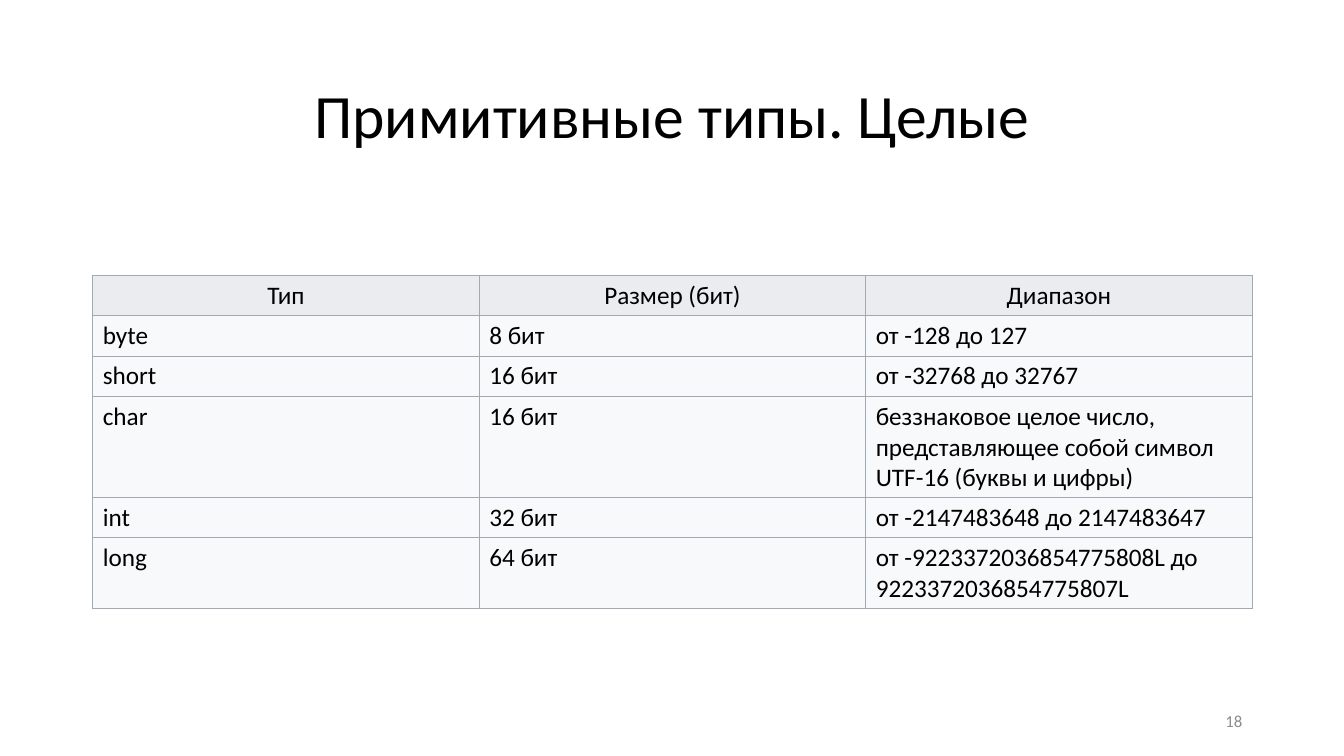
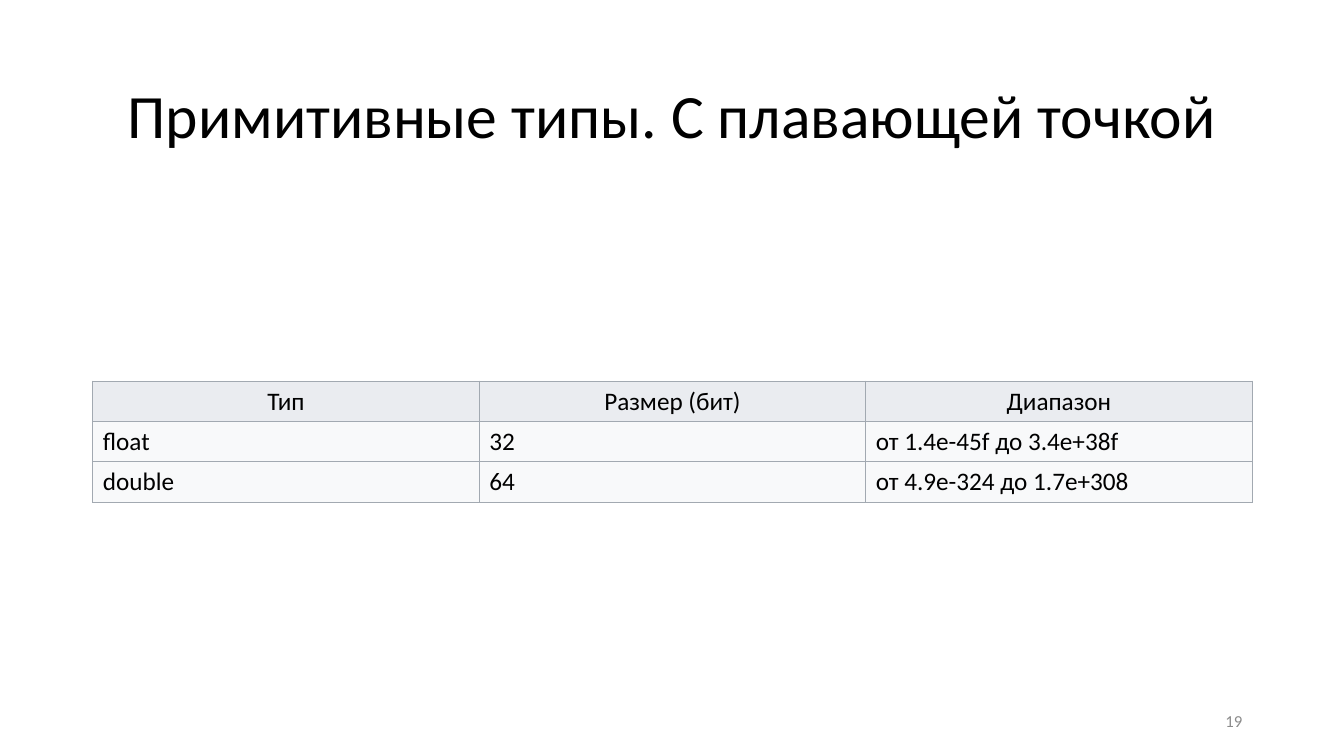
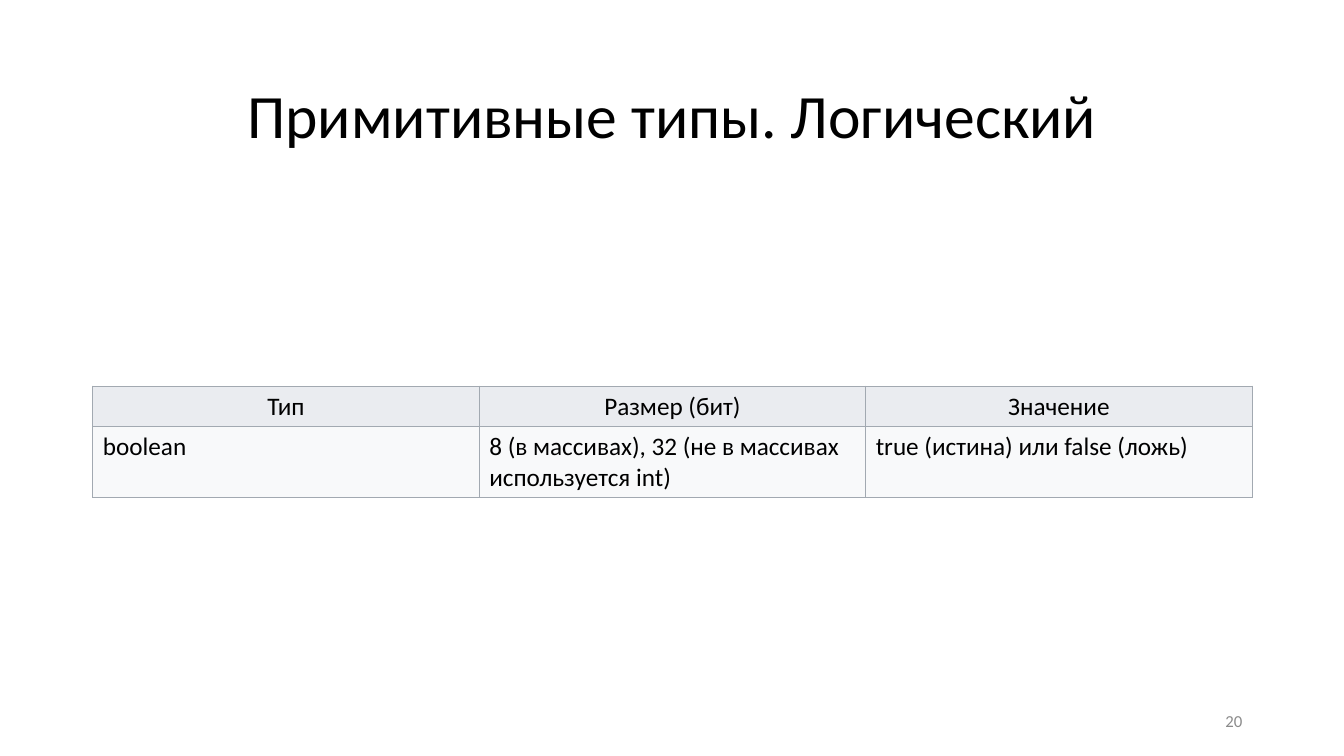
"""Build three slides on primitive types, each with a title, a table and a page number."""
from lxml import etree
from pptx import Presentation
from pptx.dml.color import RGBColor
from pptx.enum.text import MSO_ANCHOR, PP_ALIGN
from pptx.oxml.ns import qn
from pptx.util import Inches, Pt

LEFT, CENTER, RIGHT = PP_ALIGN.LEFT, PP_ALIGN.CENTER, PP_ALIGN.RIGHT
MIDDLE = MSO_ANCHOR.MIDDLE
FONT = "Calibri"
BLACK = RGBColor(0x00, 0x00, 0x00)
GRAY = RGBColor(0x8B, 0x8B, 0x8B)
HEAD = RGBColor(0xEA, 0xEC, 0xF0)
BODY = RGBColor(0xF8, 0xF9, 0xFA)
EDGE = RGBColor(0xA2, 0xA9, 0xB1)
MARGIN, WIDTH, ROW = 0.92, 11.5, 0.4
FIRST = 18

PAGES = [
    ("Примитивные типы. Целые", 2.73, [
        ("Тип", "Размер (бит)", "Диапазон"),
        ("byte", "8 бит", "от -128 до 127"),
        ("short", "16 бит", "от -32768 до 32767"),
        ("char", "16 бит", "беззнаковое целое число, представляющее собой символ UTF-16 (буквы и цифры)"),
        ("int", "32 бит", "от -2147483648 до 2147483647"),
        ("long", "64 бит", "от -9223372036854775808L до 9223372036854775807L"),
    ]),
    ("Примитивные типы. С плавающей точкой", 3.78, [
        ("Тип", "Размер (бит)", "Диапазон"),
        ("float", "32", "от 1.4e-45f до 3.4e+38f"),
        ("double", "64", "от 4.9e-324 до 1.7e+308"),
    ]),
    ("Примитивные типы. Логический", 3.83, [
        ("Тип", "Размер (бит)", "Значение"),
        ("boolean", "8 (в массивах), 32 (не в массивах используется int)", "true (истина) или false (ложь)"),
    ]),
]


def write(frame, text, size, color, align):
    frame.word_wrap = True
    par = frame.paragraphs[0]
    par.text = text
    par.alignment = align
    par.font.name = FONT
    par.font.size = Pt(size)
    par.font.color.rgb = color


def border(cell):
    props = cell._tc.get_or_add_tcPr()
    for spot, side in enumerate(("lnL", "lnR", "lnT", "lnB")):
        line = etree.Element(qn(f"a:{side}"), w=str(Pt(0.57)))
        fill = etree.SubElement(line, qn("a:solidFill"))
        etree.SubElement(fill, qn("a:srgbClr"), val=str(EDGE))
        props.insert(spot, line)


deck = Presentation()
deck.slide_width, deck.slide_height = Inches(13.33), Inches(7.5)
blank = deck.slide_layouts[6]

for number, (title, top, rows) in enumerate(PAGES, FIRST):
    slide = deck.slides.add_slide(blank)
    box = slide.shapes.add_textbox(Inches(MARGIN), Inches(0.4), Inches(WIDTH), Inches(1.45))
    box.text_frame.vertical_anchor = MIDDLE
    write(box.text_frame, title, 44, BLACK, CENTER)

    table = slide.shapes.add_table(
        len(rows), len(rows[0]), Inches(MARGIN), Inches(top),
        Inches(WIDTH), Inches(ROW * len(rows))).table
    for r, row in enumerate(rows):
        for c, text in enumerate(row):
            cell = table.cell(r, c)
            cell.fill.solid()
            cell.fill.fore_color.rgb = BODY if r else HEAD
            write(cell.text_frame, text, 18, BLACK, LEFT if r else CENTER)
            border(cell)

    foot = slide.shapes.add_textbox(Inches(9.42), Inches(6.95), Inches(3), Inches(0.4))
    foot.text_frame.vertical_anchor = MIDDLE
    write(foot.text_frame, str(number), 12, GRAY, RIGHT)

deck.save("out.pptx")
